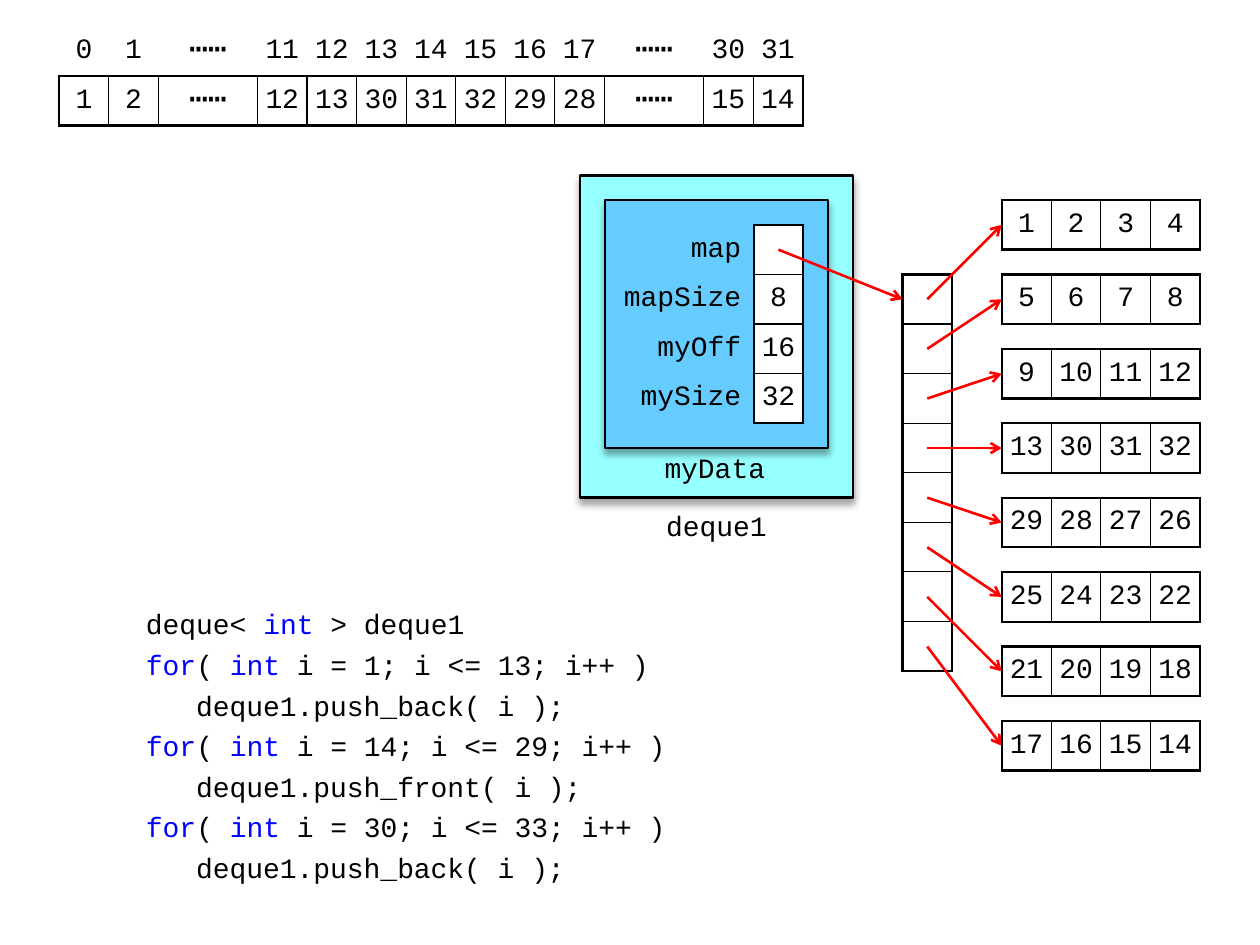
from dataclasses import dataclass

from lxml import etree
from pptx import Presentation
from pptx.dml.color import RGBColor
from pptx.enum.shapes import MSO_CONNECTOR, MSO_SHAPE
from pptx.enum.text import MSO_ANCHOR, PP_ALIGN
from pptx.oxml import parse_xml
from pptx.oxml.ns import nsdecls, qn
from pptx.util import Inches, Pt

LEFT, CENTER, RIGHT = PP_ALIGN.LEFT, PP_ALIGN.CENTER, PP_ALIGN.RIGHT
TOP, MIDDLE = MSO_ANCHOR.TOP, MSO_ANCHOR.MIDDLE
PROCESS = MSO_SHAPE.FLOWCHART_PROCESS
STRAIGHT = MSO_CONNECTOR.STRAIGHT
LEFT_SIDE = 1


@dataclass(frozen=True)
class Theme:
    font: str = "Courier New"
    size: int = 16
    dots_size: int = 18
    ink: str = "000000"
    keyword: str = "0000FF"
    arrow: str = "FF0000"
    paper: str = "FFFFFF"
    outer: str = "96FFFF"
    inner: str = "66CCFF"
    thick: float = 1.5
    thin: float = 0.75


THEME = Theme()
UNIT = 1 / 2.54  # one grid square is a centimetre
ORIGIN_X, ORIGIN_Y = 0.47, 0.21

DOTS = "⋯⋯"
INDEXES = ["0", "1", DOTS, *map(str, range(11, 18)), DOTS, "30", "31"]
ELEMENTS = ["1", "2", DOTS, "12", "13", "30", "31", "32", "29", "28", DOTS, "15", "14"]
BLOCK_SIZE = 4
STORED = [*range(1, 14), 30, 31, 32, *range(29, 13, -1)]
FIELDS = [["map", ""], ["mapSize", "8"], ["myOff", "16"], ["mySize", "32"]]
# Keywords stand between bars
CODE = [
    "deque< |int| > deque1",
    "|for|( |int| i = 1; i <= 13; i++ )",
    "   deque1.push_back( i );",
    "|for|( |int| i = 14; i <= 29; i++ )",
    "   deque1.push_front( i );",
    "|for|( |int| i = 30; i <= 33; i++ )",
    "   deque1.push_back( i );",
]


def span(n):
    return Inches(n * UNIT)


def point(col, row):
    return Inches(ORIGIN_X + col * UNIT), Inches(ORIGIN_Y + row * UNIT)


def write(holder, lines, size=THEME.size, align=LEFT, anchor=MIDDLE,
          insets=(0.04, 0.04, 0.04, 0.04), space=0):
    """Fill a table cell or text frame; insets run left, top, right, bottom."""
    holder.vertical_anchor = anchor
    (holder.margin_left, holder.margin_top,
     holder.margin_right, holder.margin_bottom) = map(Inches, insets)
    tf = getattr(holder, "text_frame", holder)
    for i, line in enumerate(lines):
        p = tf.add_paragraph() if i else tf.paragraphs[0]
        p.alignment = align
        p.space_before = Pt(space if i else 0)
        for j, part in enumerate(line.split("|")):
            if not part:
                continue
            r = p.add_run()
            r.text = part
            r.font.name = THEME.font
            r.font.size = Pt(size)
            color = THEME.keyword if j % 2 else THEME.ink
            r.font.color.rgb = RGBColor.from_string(color)


def add_text(s, col, row, w, h, lines, **fmt):
    sp = s.shapes.add_textbox(*point(col, row), span(w), span(h))
    sp.text_frame.word_wrap = True
    write(sp.text_frame, lines, **fmt)


def set_borders(cell, widths):
    """Set left, right, top and bottom borders; None hides one."""
    tc_pr = cell._tc.get_or_add_tcPr()
    for i, (side, width) in enumerate(zip(("lnL", "lnR", "lnT", "lnB"), widths)):
        ln = etree.Element(qn(f"a:{side}"))
        if width is None:
            etree.SubElement(ln, qn("a:noFill"))
        else:
            ln.set("w", str(Pt(width)))
            fill = etree.SubElement(ln, qn("a:solidFill"))
            etree.SubElement(fill, qn("a:srgbClr"), val=THEME.ink)
        tc_pr.insert(i, ln)


def border_widths(r, c, rows, cols, r0, c0):
    """The frame starts at row r0 and column c0; cells before it stay bare."""
    def weight(on_edge):
        return THEME.thick if on_edge else THEME.thin

    if r >= r0 and c >= c0:
        return (weight(c == c0), weight(c == cols - 1),
                weight(r == r0), weight(r == rows - 1))
    return (None, THEME.thick if c + 1 == c0 else None,
            None, THEME.thick if r + 1 == r0 else None)


def add_cells(s, col, row, data, widths, r0=0, c0=0):
    rows, cols = len(data), len(widths)
    frame = s.shapes.add_table(rows, cols, *point(col, row), span(sum(widths)), span(rows))
    table = frame.table
    table.first_row = table.horz_banding = False
    for c, width in enumerate(widths):
        table.columns[c].width = span(width)
    for r, values in enumerate(data):
        table.rows[r].height = span(1)
        for c, value in enumerate(values):
            cell = table.cell(r, c)
            if r >= r0 and c >= c0:
                cell.fill.solid()
                cell.fill.fore_color.rgb = RGBColor.from_string(THEME.paper)
            else:
                cell.fill.background()
            is_label = c < c0
            side = 0.1 if is_label else 0.04
            write(cell, [value], align=RIGHT if is_label else CENTER,
                  size=THEME.dots_size if value == DOTS else THEME.size,
                  insets=(side, 0.04, side, 0.04))
            set_borders(cell, border_widths(r, c, rows, cols, r0, c0))
    return frame


def add_box(s, col, row, w, h, color):
    sp = s.shapes.add_shape(PROCESS, *point(col, row), span(w), span(h))
    sp.fill.solid()
    sp.fill.fore_color.rgb = RGBColor.from_string(color)
    sp.line.color.rgb = RGBColor.from_string(THEME.ink)
    sp.line.width = Pt(THEME.thick)
    sp._element.spPr.append(parse_xml(
        f'<a:effectLst {nsdecls("a")}><a:outerShdw blurRad="{Pt(4)}" dist="{Pt(3)}" '
        f'dir="5400000" rotWithShape="0"><a:srgbClr val="{THEME.ink}">'
        '<a:alpha val="35000"/></a:srgbClr></a:outerShdw></a:effectLst>'))


def add_arrow(s, start, end, target=None):
    cxn = s.shapes.add_connector(STRAIGHT, *point(*start), *point(*end))
    if target is not None:
        cxn.end_connect(target, LEFT_SIDE)
    cxn.line.color.rgb = RGBColor.from_string(THEME.arrow)
    cxn.line.width = Pt(THEME.thick)
    etree.SubElement(cxn.line._get_or_add_ln(), qn("a:tailEnd"), type="arrow")
    etree.SubElement(cxn._element.spPr, qn("a:effectLst"))


def add_map(s):
    """Draw the map column and the block that each of its slots points to."""
    blocks = [STORED[i:i + BLOCK_SIZE] for i in range(0, len(STORED), BLOCK_SIZE)]
    add_cells(s, 17, 5, [[""]] * len(blocks), [1])
    for i, block in enumerate(blocks):
        top = 3.5 + 1.5 * i
        frame = add_cells(s, 19, top, [[str(v) for v in block]], [1] * BLOCK_SIZE)
        add_arrow(s, (17.5, 5.5 + i), (19, top + 0.5), frame)


def add_deque(s):
    add_box(s, 10.5, 3, 5.5, 6.5, THEME.outer)
    add_box(s, 11, 3.5, 4.5, 5, THEME.inner)
    add_text(s, 11.5, 9.5, 3.5, 1, ["deque1"], align=CENTER, insets=(0.08, 0.04, 0.08, 0))
    add_text(s, 12, 8.5, 2.5, 1, ["myData"], anchor=TOP, insets=(0.08, 0.02, 0.08, 0))
    add_cells(s, 11, 4, FIELDS, [3, 1], c0=1)
    add_arrow(s, (14.5, 4.5), (17, 5.5))


def main():
    prs = Presentation()
    prs.slide_width, prs.slide_height = Inches(10), Inches(7.5)
    s = prs.slides.add_slide(prs.slide_layouts[6])
    add_text(s, 1.5, 11.5, 11, 6, CODE, anchor=TOP, insets=(0.1, 0.08, 0.1, 0.05), space=4)
    add_map(s)
    widths = [2 if value == DOTS else 1 for value in INDEXES]
    add_cells(s, 0, 0, [INDEXES, ELEMENTS], widths, r0=1)
    add_deque(s)
    prs.save("out.pptx")


if __name__ == "__main__":
    main()
